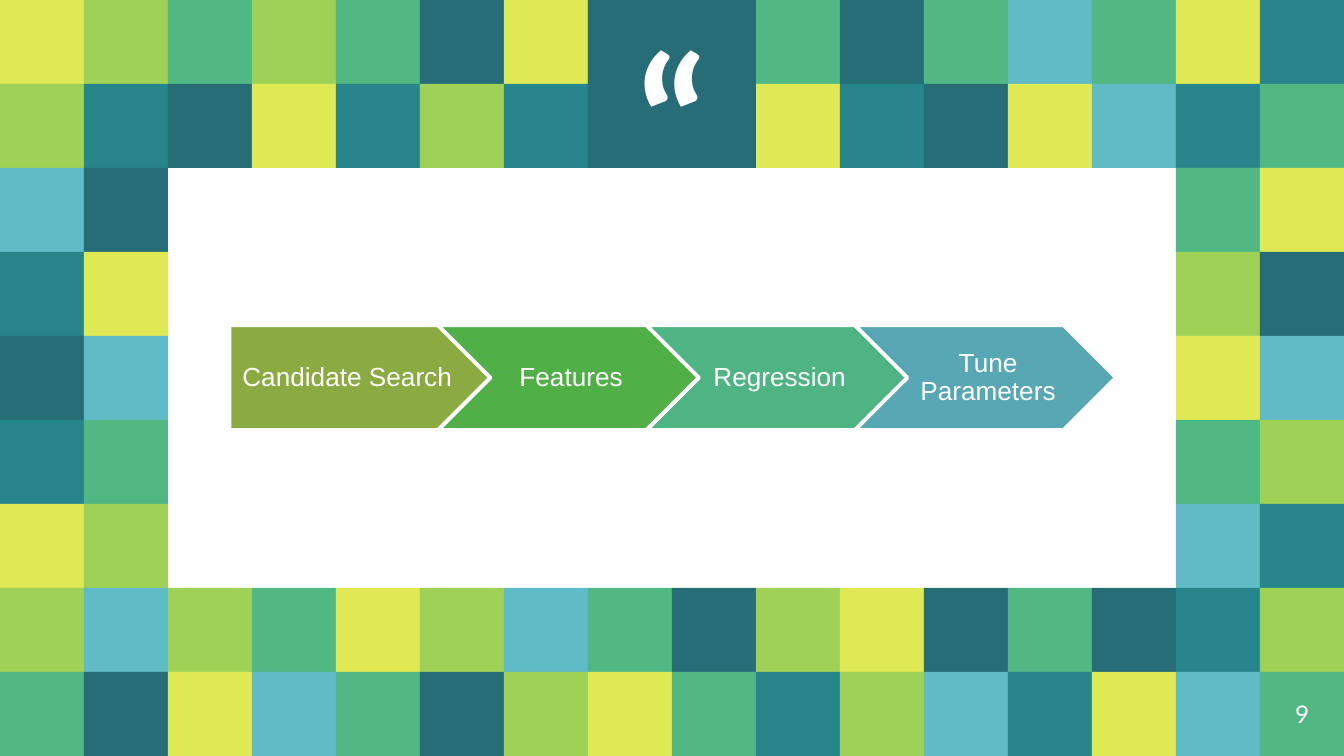
"""Builds a process slide: four chevron steps inside a mosaic frame."""
from pptx import Presentation
from pptx.dml.color import RGBColor
from pptx.enum.shapes import MSO_SHAPE as Preset
from pptx.enum.text import MSO_ANCHOR as Anchor, PP_ALIGN as Align
from pptx.util import Cm, Pt

WIDTH, HEIGHT = 25.4, 14.29
TILE = WIDTH / 16
COLORS = {
    "L": "9ED155", "D": "266D78", "Y": "DFE954",
    "G": "50B883", "T": "27868B", "S": "5FBBC5",
    "white": "FFFFFF", "olive": "8BAB42", "leaf": "50B047",
    "jade": "4EB484", "lagoon": "57A7B5",
}
MOSAIC = [
    "YLGLGDYTSGDGSGYT",
    "LTDYTLTDGYTDYSTG",
    "SD............GY",
    "TY............LD",
    "DS............YS",
    "TG............GL",
    "YL............ST",
    "LSLGYLSGDLYDGDTL",
    "GDYSGDLYGTLSTYSG",
]
STEPS = [
    ("Candidate Search ", Preset.PENTAGON, "olive"),
    ("Features", Preset.CHEVRON, "leaf"),
    ("Regression", Preset.CHEVRON, "jade"),
    ("Tune Parameters", Preset.CHEVRON, "lagoon"),
]
STEP_LEFT, STEP_TOP, STEP_PITCH = 4.34, 6.15, 3.94
STEP_WIDTH, STEP_HEIGHT = 4.93, 1.98


class Deck:
    def __init__(self):
        self.presentation = Presentation()
        self.presentation.slide_width = Cm(WIDTH)
        self.presentation.slide_height = Cm(HEIGHT)
        self.slide = self.presentation.slides.add_slide(
            self.presentation.slide_layouts[6])

    def color(self, name):
        return RGBColor.from_string(COLORS[name])

    def set_text(self, holder, text, size, font, anchor, insets, bold=False):
        frame = holder.text_frame
        frame.word_wrap = True
        frame.vertical_anchor = anchor
        (frame.margin_left, frame.margin_top,
         frame.margin_right, frame.margin_bottom) = map(Cm, insets)
        frame.text = text
        paragraph = frame.paragraphs[0]
        paragraph.alignment = Align.CENTER
        style = paragraph.runs[0].font
        style.size, style.name, style.bold = Pt(size), font, bold
        style.color.rgb = self.color("white")
        return paragraph

    def block(self, preset, left, top, width, height, fill):
        block = self.slide.shapes.add_shape(
            preset, Cm(left), Cm(top), Cm(width), Cm(height))
        block.shadow.inherit = False
        block.fill.solid()
        block.fill.fore_color.rgb = self.color(fill)
        block.line.fill.background()
        return block

    def label(self, text, left, top, width, height, size,
              anchor=Anchor.TOP, bold=False):
        label = self.slide.shapes.add_textbox(
            Cm(left), Cm(top), Cm(width), Cm(height))
        self.set_text(label, text, size, "Lato", anchor, [0.25] * 4, bold)

    def step(self, text, preset, left, fill):
        step = self.block(preset, left, STEP_TOP, STEP_WIDTH, STEP_HEIGHT, fill)
        step.line.color.rgb = self.color("white")
        step.line.width = Pt(2)
        inset = 0.2 if preset == Preset.PENTAGON else 0.15
        paragraph = self.set_text(step, text, 14, "Arial", Anchor.MIDDLE,
                                  [inset, 0.1, 0.05, 0.1])
        paragraph.line_spacing = 0.9


def main():
    deck = Deck()
    for row, tiles in enumerate(MOSAIC):
        for column, tile in enumerate(tiles):
            if tile != ".":
                deck.block(Preset.RECTANGLE, column * TILE, row * TILE,
                           TILE, TILE, tile)
    deck.block(Preset.RECTANGLE, 7 * TILE, 0, 2 * TILE, 2 * TILE, "D")
    deck.label("“", 9.98, -0.03, 5.44, 1.8, 96, bold=True)
    deck.label("9", 15 * TILE, 8 * TILE, TILE, TILE, 13, Anchor.MIDDLE)
    for position, (text, preset, fill) in enumerate(STEPS):
        deck.step(text, preset, STEP_LEFT + position * STEP_PITCH, fill)
    deck.presentation.save("out.pptx")


if __name__ == "__main__":
    main()
